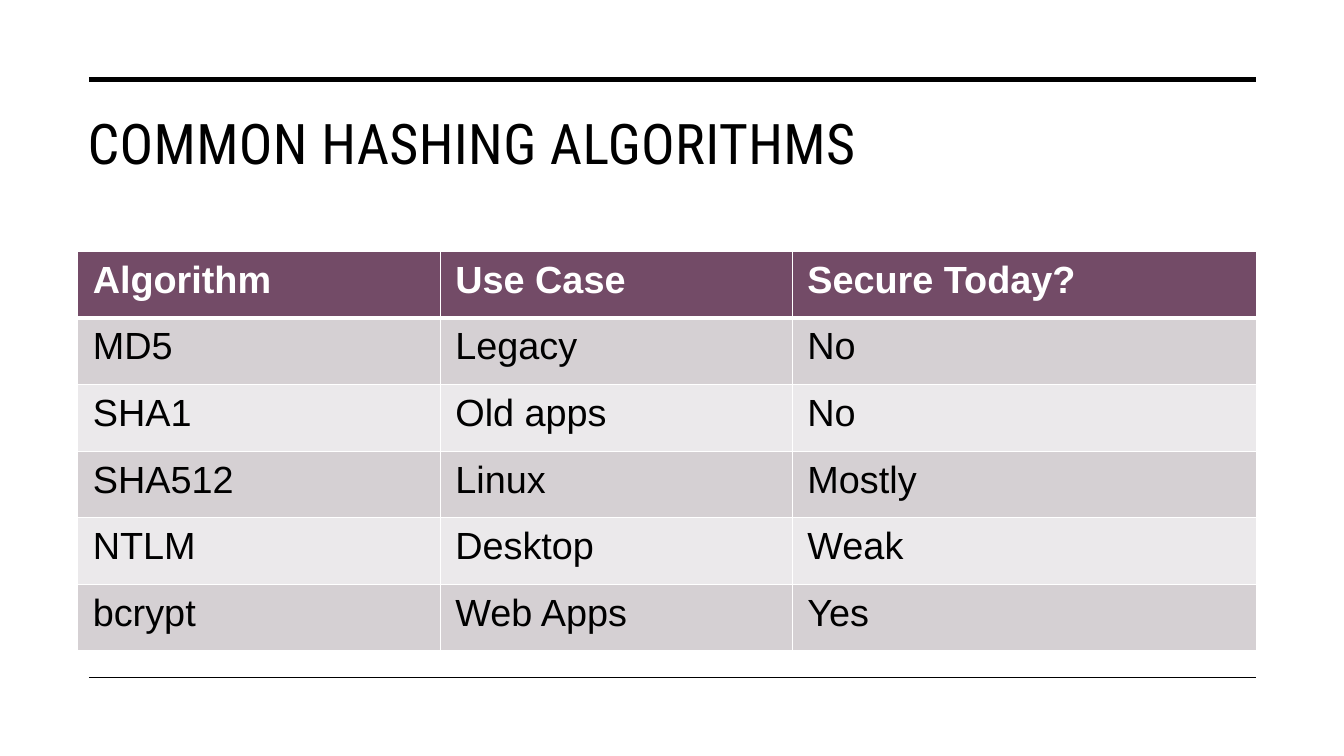
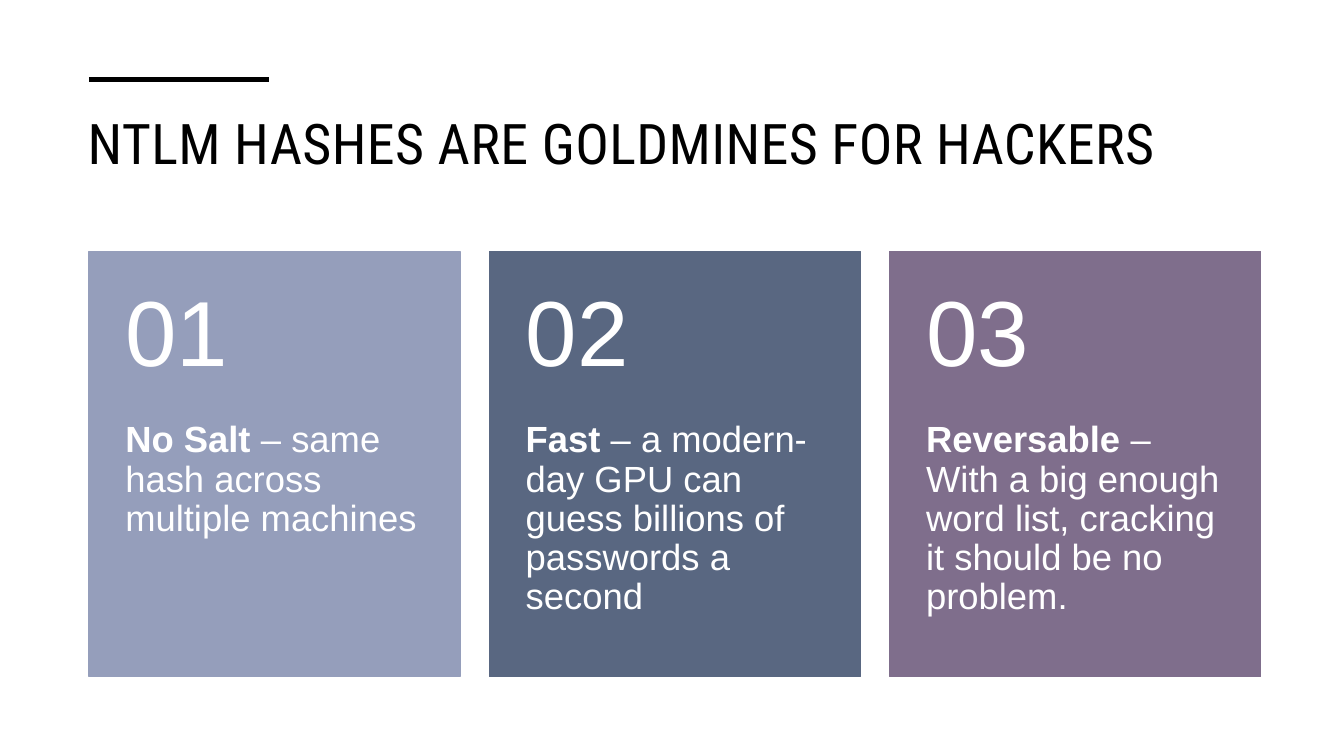
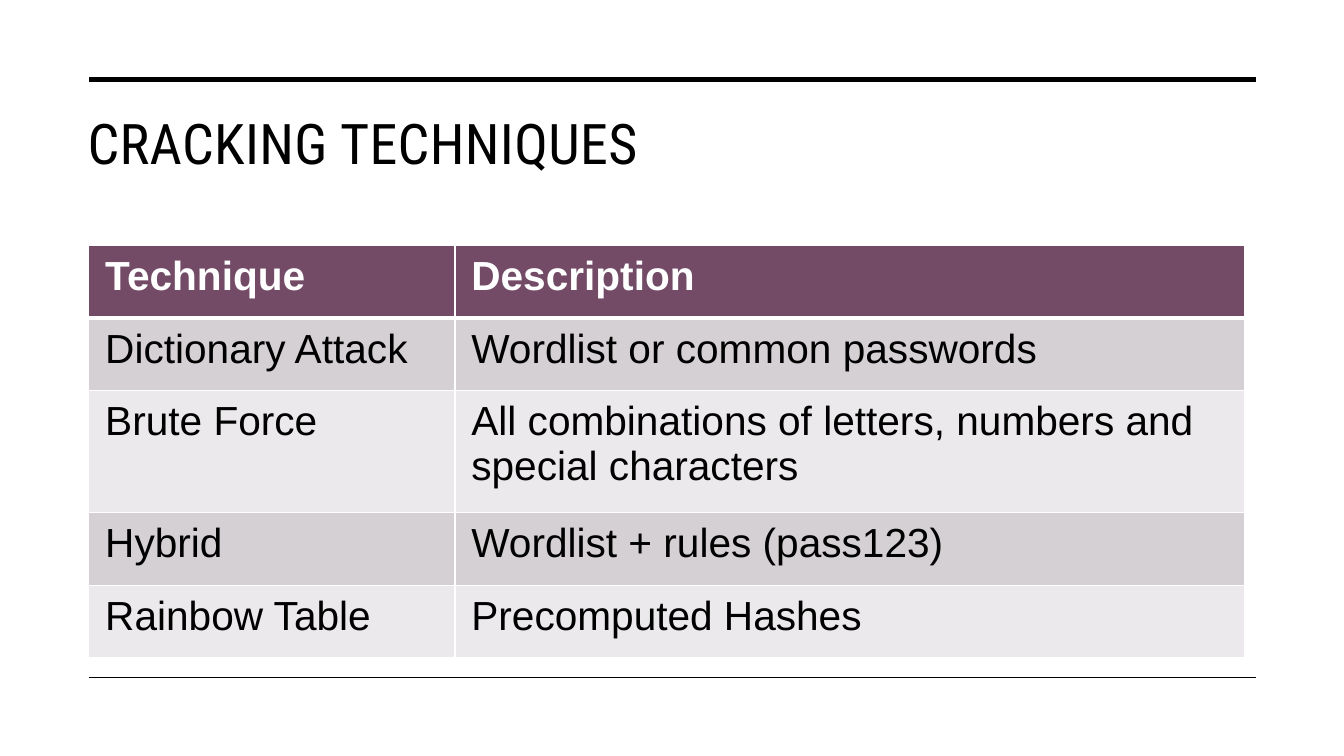
from dataclasses import dataclass

from lxml.etree import SubElement
from pptx import Presentation
from pptx.dml.color import RGBColor as RGB
from pptx.enum.shapes import MSO_CONNECTOR as Connector, MSO_SHAPE as Preset
from pptx.enum.text import MSO_ANCHOR as Anchor
from pptx.oxml.ns import qn
from pptx.util import Pt


@dataclass(frozen=True)
class Theme:
    ink: RGB = RGB.from_string("000000")
    paper: RGB = RGB.from_string("FFFFFF")
    header: RGB = RGB.from_string("734B67")
    bands: tuple = (RGB.from_string("D5D0D3"), RGB.from_string("EBE9EB"))
    cards: tuple = tuple(RGB.from_string(c) for c in ("959EBB", "596781", "7F6E8C"))
    title_font: str = "Roboto Condensed"
    body_font: str = "Arial"
    title_size: int = 40
    number_size: int = 66
    card_size: int = 26
    left: float = 63.5
    right: float = 897
    rule_top: float = 57
    rule_bottom: float = 484


THEME = Theme()

ALGORITHMS = [
    ("Algorithm", "Use Case", "Secure Today?"),
    ("MD5", "Legacy", "No"),
    ("SHA1", "Old apps", "No"),
    ("SHA512", "Linux", "Mostly"),
    ("NTLM", "Desktop", "Weak"),
    ("bcrypt", "Web Apps", "Yes"),
]
WEAKNESSES = [
    ("No Salt", " – same hash across multiple machines"),
    ("Fast", " – a modern-day GPU can guess billions of passwords a second"),
    ("Reversable", " – With a big enough word list, cracking it should be no problem."),
]
TECHNIQUES = [
    ("Technique", "Description"),
    ("Dictionary Attack", "Wordlist or common passwords"),
    ("Brute Force", "All combinations of letters, numbers and special characters"),
    ("Hybrid", "Wordlist + rules (pass123)"),
    ("Rainbow Table", "Precomputed Hashes"),
]


def set_font(paragraph, family, size, color):
    font = paragraph.font
    font.name, font.size = family, Pt(size)
    font.color.rgb = color


def add_text(shapes, box, insets, anchor=Anchor.TOP):
    frame = shapes.add_textbox(*map(Pt, box)).text_frame
    frame.word_wrap = True
    frame.vertical_anchor = anchor
    (frame.margin_left, frame.margin_top,
     frame.margin_right, frame.margin_bottom) = map(Pt, insets)
    return frame.paragraphs[0]


def add_rule(slide, right, y, weight):
    rule = slide.shapes.add_connector(
        Connector.STRAIGHT, Pt(THEME.left), Pt(y), Pt(right), Pt(y))
    rule.line.color.rgb = THEME.ink
    rule.line.width = Pt(weight)
    SubElement(rule._element.spPr, qn("a:effectLst"))


def add_titled_slide(deck, title, rule_right=THEME.right):
    slide = deck.slides.add_slide(deck.slide_layouts[6])
    heading = add_text(slide.shapes, (55.5, 71.5, 850, 86), (7.2, 6, 7.2, 3.6))
    run = heading.add_run()
    run.text = title
    run._r.get_or_add_rPr().set("spc", "30")
    set_font(heading, THEME.title_font, THEME.title_size, THEME.ink)
    add_rule(slide, rule_right, THEME.rule_top, 3.5)
    return slide


def set_borders(cell, top, bottom):
    properties = cell._tc.get_or_add_tcPr()
    for side, weight in (("L", 1), ("R", 1), ("T", top), ("B", bottom)):
        border = SubElement(properties, qn(f"a:ln{side}"), w=str(Pt(weight)))
        fill = SubElement(border, qn("a:solidFill"))
        SubElement(fill, qn("a:srgbClr"), val=str(THEME.paper))


def add_grid(slide, rows, origin, widths, heights, size, insets):
    table = slide.shapes.add_table(
        len(rows), len(widths), *map(Pt, (*origin, sum(widths), sum(heights)))).table
    table.horz_banding = False
    for column, width in zip(table.columns, widths):
        column.width = Pt(width)
    for r, (texts, height) in enumerate(zip(rows, heights)):
        table.rows[r].height = Pt(height)
        is_header = r == 0
        for c, text in enumerate(texts):
            cell = table.cell(r, c)
            set_borders(cell, 3 if r == 1 else 1, 3 if is_header else 1)
            cell.fill.solid()
            cell.fill.fore_color.rgb = THEME.header if is_header else THEME.bands[(r - 1) % 2]
            cell.margin_left = cell.margin_right = Pt(insets[0])
            cell.margin_top = cell.margin_bottom = Pt(insets[1])
            cell.text = text
            paragraph = cell.text_frame.paragraphs[0]
            set_font(paragraph, THEME.body_font, size,
                     THEME.paper if is_header else THEME.ink)
            paragraph.font.bold = is_header


def add_card(slide, left, number, term, detail, color):
    top, width, number_height, text_height = 179.5, 265, 121.5, 182.5
    shapes = slide.shapes.add_group_shape().shapes
    panel = shapes.add_shape(
        Preset.RECTANGLE, *map(Pt, (left, top, width, number_height + text_height)))
    panel.shadow.inherit = False
    panel.fill.solid()
    panel.fill.fore_color.rgb = panel.line.color.rgb = color
    panel.line.width = Pt(1)

    body = add_text(shapes, (left, top + number_height, width, text_height), (26, 0, 26, 26))
    for text, bold in ((term, True), (detail, False)):
        run = body.add_run()
        run.text, run.font.bold = text, bold
    numeral = add_text(shapes, (left, top, width, number_height), (26, 13, 26, 13), Anchor.MIDDLE)
    numeral.text = f"{number:02}"
    for paragraph, size in ((body, THEME.card_size), (numeral, THEME.number_size)):
        paragraph.line_spacing = 0.9
        set_font(paragraph, THEME.body_font, size, THEME.paper)


def add_table_slide(deck, title, *grid):
    slide = add_titled_slide(deck, title)
    add_rule(slide, THEME.right, THEME.rule_bottom, 1)
    add_grid(slide, *grid)


def add_card_slide(deck, title, items):
    slide = add_titled_slide(deck, title, rule_right=192)
    pitch = 286
    for i, ((term, detail), color) in enumerate(zip(items, THEME.cards)):
        add_card(slide, THEME.left + i * pitch, i + 1, term, detail, color)


def main():
    deck = Presentation()
    deck.slide_width, deck.slide_height = Pt(960), Pt(540)
    add_table_slide(deck, "COMMON HASHING ALGORITHMS", ALGORITHMS, (55.5, 179.5),
                    (259, 251.5, 331.5), [47.6] * 6, 27, (10.8, 5.4))
    add_card_slide(deck, "NTLM HASHES ARE GOLDMINES FOR HACKERS", WEAKNESSES)
    add_table_slide(deck, "CRACKING TECHNIQUES", TECHNIQUES, (63.5, 175.5),
                    (261.5, 564), (51.8, 51.8, 87.2, 51.8, 51.8), 29, (11.7, 5.8))
    deck.save("out.pptx")


if __name__ == "__main__":
    main()
